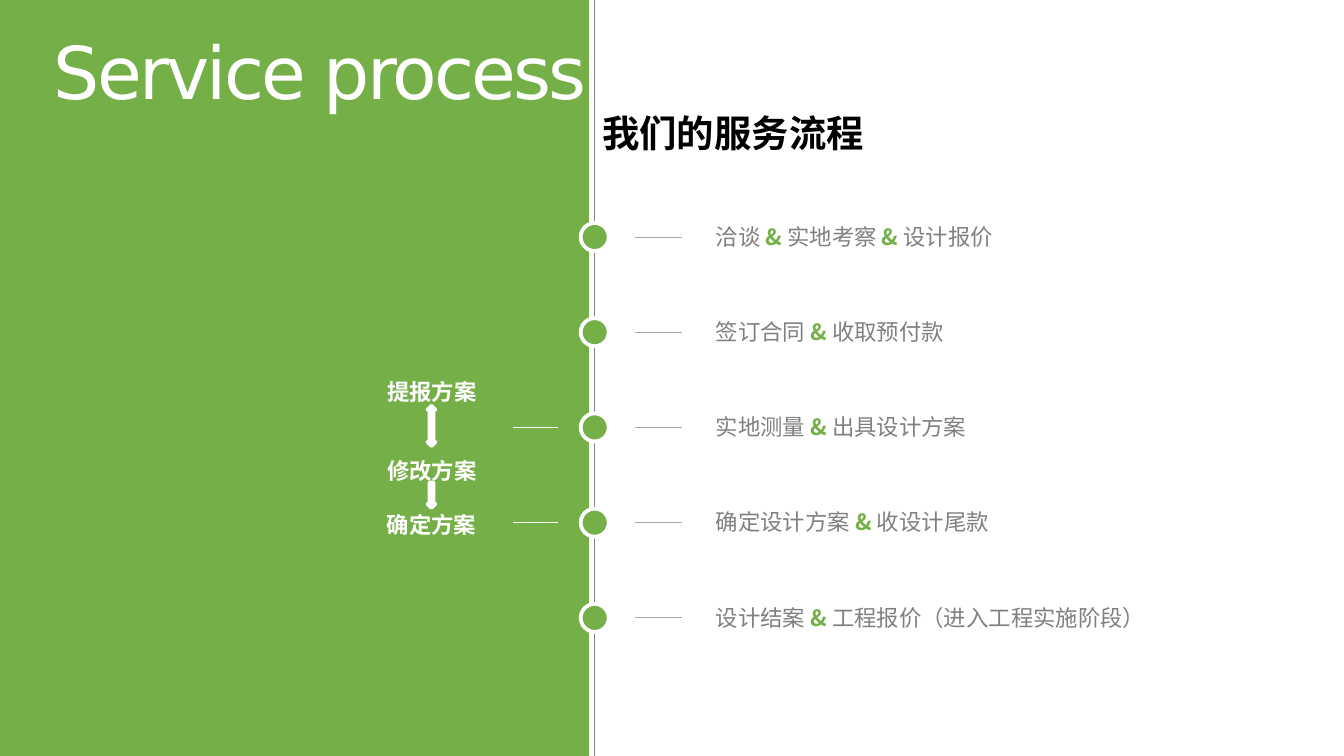
"""Build the service process slide: a green panel beside a five-step timeline."""
from dataclasses import dataclass

import lxml.etree
import pptx
import pptx.dml.color
import pptx.enum.shapes
import pptx.enum.text
import pptx.oxml.ns
import pptx.util

Cm = pptx.util.Cm
Pt = pptx.util.Pt
qn = pptx.oxml.ns.qn
Kind = pptx.enum.shapes.MSO_SHAPE
GREEN, WHITE, GREY, PALE = "74AF47", "FFFFFF", "808080", "A6A6A6"
HAN = "Noto Sans CJK SC"
WIDE, HIGH = 25.4, 14.29
AXIS, FIRST, PITCH, DOT = 11.24, 4.48, 1.8, 0.53


@dataclass
class Step:
    text: str
    width: float
    left: bool = False


STEPS = [
    Step("洽谈 & 实地考察 & 设计报价", 6.4),
    Step("签订合同 & 收取预付款", 7.87),
    Step("实地测量 & 出具设计方案", 6.22, left=True),
    Step("确定设计方案 & 收设计尾款", 7.87, left=True),
    Step("设计结案 & 工程报价（进入工程实施阶段）", 8.81),
]


def tint(code: str):
    return pptx.dml.color.RGBColor.from_string(code)


def place(shape, x: float, y: float, w: float, h: float):
    shape.left, shape.top, shape.width, shape.height = Cm(x), Cm(y), Cm(w), Cm(h)
    return shape


def box(slide, x: float, y: float, w: float, h: float = 0.76):
    return slide.shapes.add_textbox(Cm(x), Cm(y), Cm(w), Cm(h))


def write(shape, *lines: str, size=12, font=HAN, color=WHITE, bold=False,
          wrap=True, inset=True, track=0, space=None, gap=0) -> None:
    frame = shape.text_frame
    frame.word_wrap = wrap
    frame.auto_size = pptx.enum.text.MSO_AUTO_SIZE.SHAPE_TO_FIT_TEXT
    frame.vertical_anchor = pptx.enum.text.MSO_ANCHOR.TOP
    if not inset:
        frame.margin_left = frame.margin_right = 0
        frame.margin_top = frame.margin_bottom = 0
    for row, line in enumerate(lines):
        para = frame.add_paragraph() if row else frame.paragraphs[0]
        para.alignment = pptx.enum.text.PP_ALIGN.LEFT
        para.space_before = Pt(gap if row else 0)
        if space:
            para.line_spacing = space
        for spot, part in enumerate(line.split("& ")):
            runs = [("& ", GREEN, True)] if spot else []
            for words, shade, heavy in runs + [(part, color, bold)]:
                run = para.add_run()
                run.text = words
                run.font.size, run.font.bold, run.font.name = Pt(size), heavy, font
                run.font.color.rgb = tint(shade)
    for prop in shape.element.iter(qn("a:rPr")):
        lxml.etree.SubElement(prop, qn("a:ea")).set("typeface", font)
        if track:
            prop.set("spc", str(track))


def plain(shape) -> None:
    for prop in shape.element.iter(qn("a:pPr")):
        prop.set("marL", "0")
        prop.set("indent", "0")
        lxml.etree.SubElement(prop, qn("a:buNone"))


def draw(slide, kind, x: float, y: float, w: float, h: float, fill: str, edge=None):
    shape = slide.shapes.add_shape(kind, Cm(x), Cm(y), Cm(w), Cm(h))
    shape.shadow.inherit = False
    shape.fill.solid()
    shape.fill.fore_color.rgb = tint(fill)
    if edge:
        shape.line.color.rgb = tint(edge)
        shape.line.width = Pt(2)
    else:
        shape.line.fill.background()
    return shape


def rule(slide, x: float, y: float, end: float, low: float, color: str, width=0.5) -> None:
    line = slide.shapes.add_connector(
        pptx.enum.shapes.MSO_CONNECTOR.STRAIGHT, Cm(x), Cm(y), Cm(end), Cm(low))
    line.line.color.rgb = tint(color)
    line.line.width = Pt(width)
    lxml.etree.SubElement(line.element.spPr, qn("a:effectLst"))


def show(slide, step: Step, y: float) -> None:
    draw(slide, Kind.OVAL, AXIS - DOT / 2, y - DOT / 2, DOT, DOT, GREEN, WHITE)
    rule(slide, 12.01, y, 12.88, y, PALE)
    if step.left:
        rule(slide, 9.7, y, 10.54, y, WHITE)
    write(box(slide, 13.28, y - 0.39, step.width), step.text, color=GREY)


def main() -> None:
    deck = pptx.Presentation()
    deck.slide_width, deck.slide_height = Cm(WIDE), Cm(HIGH)
    slide = deck.slides.add_slide(deck.slide_layouts[1])
    title, plan = slide.shapes.title, slide.placeholders[1]

    panel = draw(slide, Kind.RECTANGLE, 0, 0, 11.13, HIGH, GREEN)
    title.element.addprevious(panel.element)
    place(title, 1.02, 0.51, 10.57, 1.68)
    write(title, "Service process", size=39, font="DejaVu Sans",
          wrap=False, inset=False, track=-150)
    write(box(slide, 11.38, 2.08, 4.98, 0.86), "我们的服务流程", size=20,
          color="000000", bold=True, wrap=False, inset=False)

    rule(slide, AXIS, 0, AXIS, HIGH, GREY, 0.75)
    for row, step in enumerate(STEPS):
        show(slide, step, FIRST + row * PITCH)

    place(plan, 7.06, 6.76, 2.41, 2.57)
    write(plan, "提报方案", "修改方案", bold=True, space=1.5, gap=21)
    plain(plan)
    write(box(slide, 7.06, 9.53, 2.41), "确定方案", bold=True)
    draw(slide, Kind.UP_DOWN_ARROW, 8.08, 7.67, 0.15, 0.76, WHITE, WHITE)
    draw(slide, Kind.DOWN_ARROW, 8.08, 9.12, 0.15, 0.48, WHITE, WHITE)
    deck.save("out.pptx")


if __name__ == "__main__":
    main()
